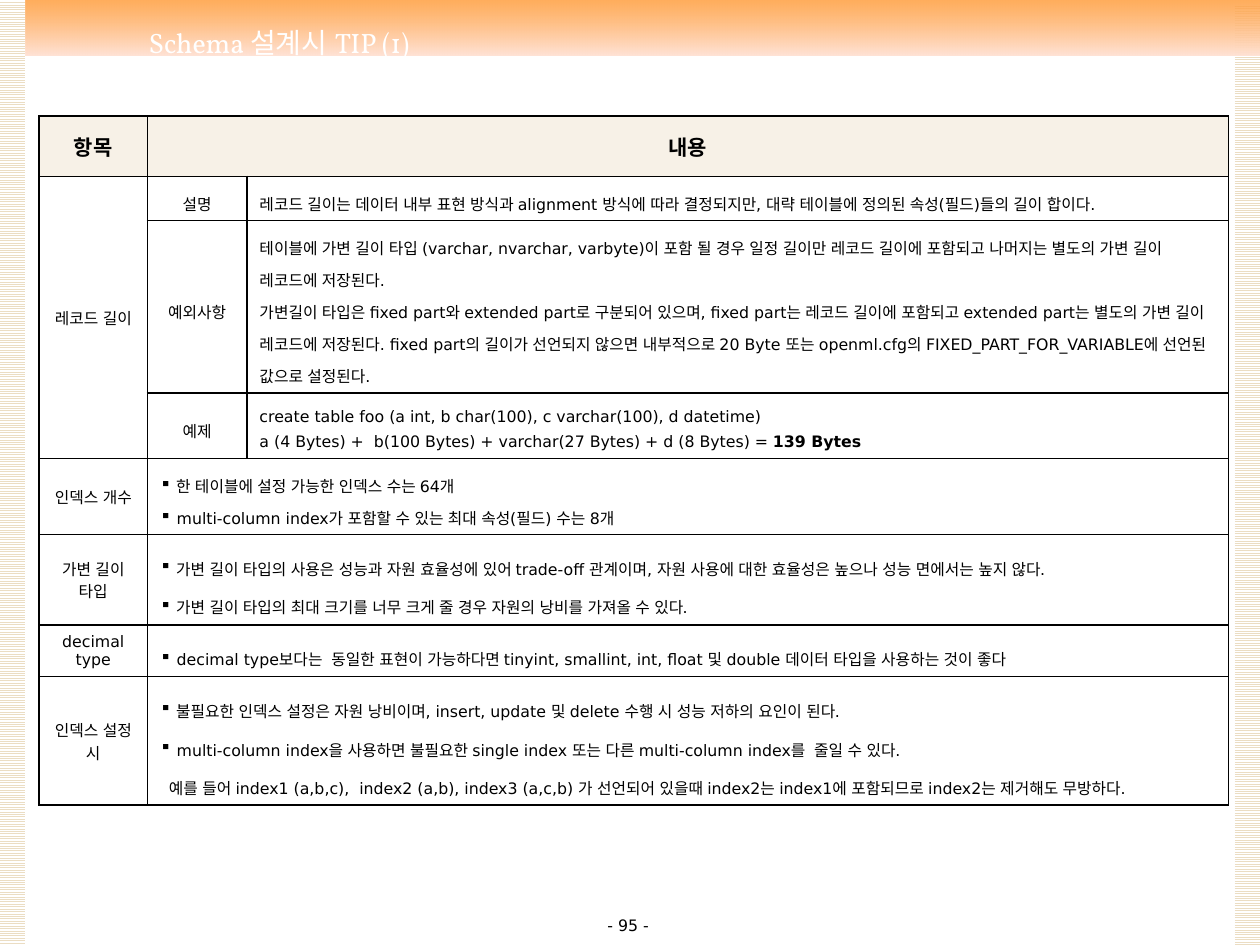
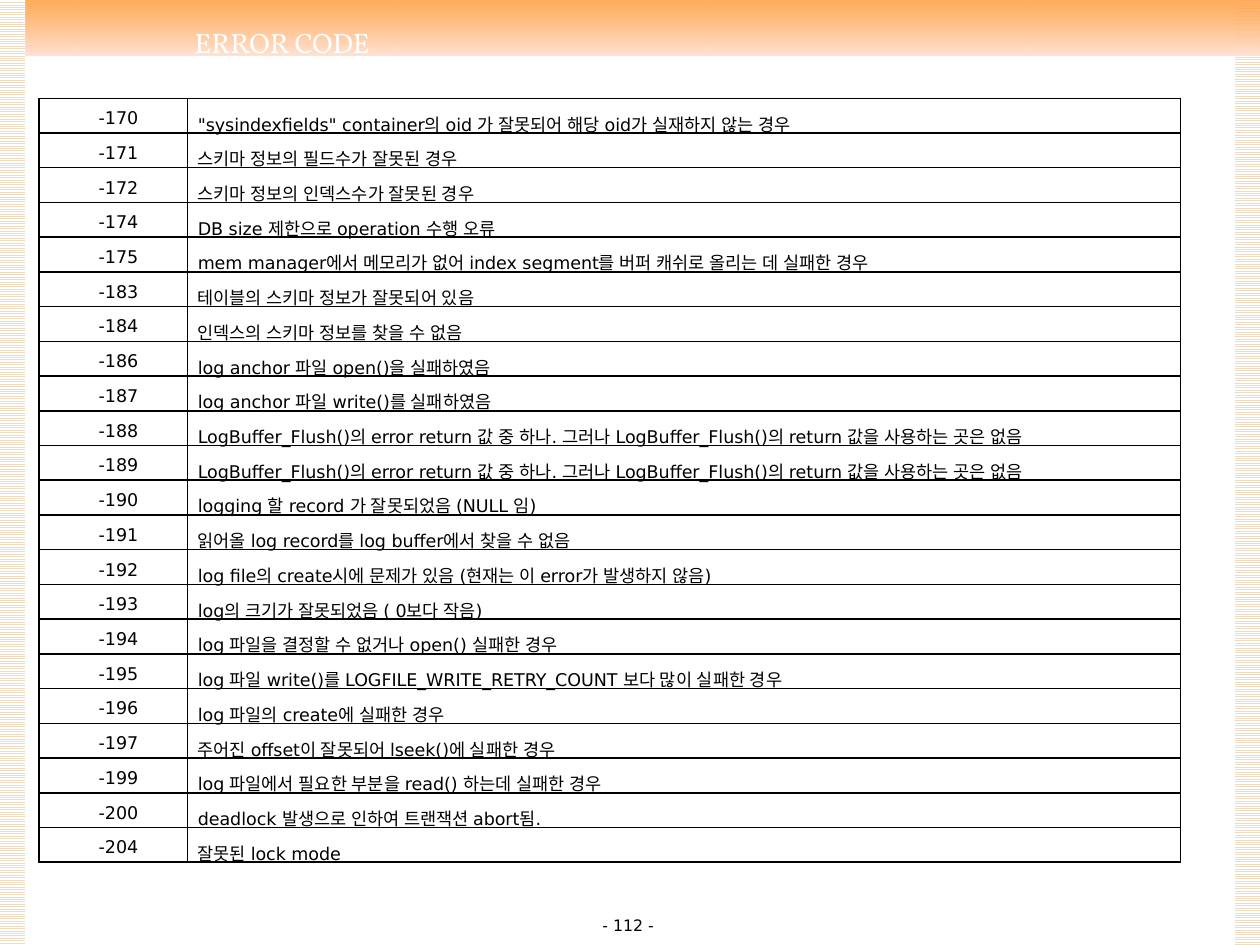
from lxml.etree import SubElement
from pptx import Presentation
from pptx.dml.color import RGBColor
from pptx.enum.dml import MSO_PATTERN
from pptx.enum.lang import MSO_LANGUAGE_ID
from pptx.enum.shapes import MSO_SHAPE
from pptx.enum.text import MSO_ANCHOR, PP_ALIGN
from pptx.oxml import parse_xml
from pptx.oxml.ns import nsdecls, qn
from pptx.util import Inches, Pt

BLACK = RGBColor(0x00, 0x00, 0x00)
WHITE = RGBColor(0xFF, 0xFF, 0xFF)
BEIGE = RGBColor(0xEB, 0xDD, 0xC3)
CREAM = RGBColor(0xF7, 0xF1, 0xE7)
ORANGE = RGBColor(0xFF, 0x99, 0x33)
PEACH = RGBColor(0xFF, 0xE3, 0xD6)
BODY_FONT = "DejaVu Sans"
TITLE_FONT = "Vollkorn"
BULLET = "▪"

# Schema table: topics with their lines; tips also have a line spacing
RECORD_ROWS = [
    ("설명", ["레코드 길이는 데이터 내부 표현 방식과 alignment 방식에 따라 결정되지만, "
            "대략 테이블에 정의된 속성(필드)들의 길이 합이다."]),
    ("예외사항", [
        "테이블에 가변 길이 타입 (varchar, nvarchar, varbyte)이 포함 될 경우 일정 길이만 "
        "레코드 길이에 포함되고 나머지는 별도의 가변 길이 레코드에 저장된다.",
        "가변길이 타입은 fixed part와 extended part로 구분되어 있으며, fixed part는 "
        "레코드 길이에 포함되고 extended part는 별도의 가변 길이 레코드에 저장된다. "
        "fixed part의 길이가 선언되지 않으면 내부적으로 20 Byte 또는 openml.cfg의 "
        "FIXED_PART_FOR_VARIABLE에 선언된 값으로 설정된다."]),
    ("예제", ["create table foo (a int, b char(100), c varchar(100), d datetime)",
            "a (4 Bytes) +  b(100 Bytes) + varchar(27 Bytes) + d (8 Bytes) = "]),
]
RECORD_TOTAL = "139 Bytes"
TIP_ROWS = [
    ("인덱스 개수", 1.4, [" 한 테이블에 설정 가능한 인덱스 수는 64개",
                     " multi-column index가 포함할 수 있는 최대 속성(필드) 수는 8개"]),
    ("가변 길이 타입", 1.7, [
        " 가변 길이 타입의 사용은 성능과 자원 효율성에 있어 trade-off 관계이며, "
        "자원 사용에 대한 효율성은 높으나 성능 면에서는 높지 않다.",
        " 가변 길이 타입의 최대 크기를 너무 크게 줄 경우 자원의 낭비를 가져올 수 있다."]),
    ("decimal type", 1.7, [
        " decimal type보다는  동일한 표현이 가능하다면 tinyint, smallint, int, float 및 "
        "double 데이터 타입을 사용하는 것이 좋다"]),
    ("인덱스 설정 시", 1.7, [
        " 불필요한 인덱스 설정은 자원 낭비이며, insert, update 및 delete 수행 시 "
        "성능 저하의 요인이 된다.",
        " multi-column index을 사용하면 불필요한 single index 또는 다른 "
        "multi-column index를  줄일 수 있다.",
        "예를 들어 index1 (a,b,c),  index2 (a,b), index3 (a,c,b) 가 선언되어 있을때 "
        "index2는 index1에 포함되므로 index2는 제거해도 무방하다."]),
]
FLUSH_ERROR = ("LogBuffer_Flush()의 error return 값 중 하나. 그러나 "
               "LogBuffer_Flush()의 return 값을 사용하는 곳은 없음")
ERRORS = [
    ("-170", '"sysindexfields" container의 oid 가 잘못되어 해당 oid가 실재하지 않는 경우'),
    ("-171", "스키마 정보의 필드수가 잘못된 경우"),
    ("-172", "스키마 정보의 인덱스수가 잘못된 경우"),
    ("-174", "DB size 제한으로 operation 수행 오류"),
    ("-175", "mem manager에서 메모리가 없어 index segment를 버퍼 캐쉬로 올리는 데 실패한 경우"),
    ("-183", "테이블의 스키마 정보가 잘못되어 있음"),
    ("-184", "인덱스의 스키마 정보를 찾을 수 없음"),
    ("-186", "log anchor 파일 open()을 실패하였음"),
    ("-187", "log anchor 파일 write()를 실패하였음"),
    ("-188", FLUSH_ERROR),
    ("-189", FLUSH_ERROR),
    ("-190", "logging 할 record 가 잘못되었음 (NULL 임)"),
    ("-191", "읽어올 log record를 log buffer에서 찾을 수 없음"),
    ("-192", "log file의 create시에 문제가 있음 (현재는 이 error가 발생하지 않음)"),
    ("-193", "log의 크기가 잘못되었음 ( 0보다 작음)"),
    ("-194", "log 파일을 결정할 수 없거나 open() 실패한 경우"),
    ("-195", "log 파일 write()를 LOGFILE_WRITE_RETRY_COUNT 보다 많이 실패한 경우"),
    ("-196", "log 파일의 create에 실패한 경우"),
    ("-197", "주어진 offset이 잘못되어 lseek()에 실패한 경우"),
    ("-199", "log 파일에서 필요한 부분을 read() 하는데 실패한 경우"),
    ("-200", "deadlock 발생으로 인하여 트랜잭션 abort됨."),
    ("-204", "잘못된 lock mode"),
]


def style_run(r, size, color=BLACK, font=BODY_FONT, bold=False):
    r.font.name, r.font.size, r.font.bold = font, Pt(size), bold
    r.font.color.rgb = color
    r.font.language_id = MSO_LANGUAGE_ID.KOREAN


def write(tf, lines, size, align=PP_ALIGN.LEFT, spacing=None, **style):
    tf.text = "\n".join(lines)
    for p in tf.paragraphs:
        p.alignment = align
        if spacing:
            p.line_spacing = spacing
        for r in p.runs:
            style_run(r, size, **style)


def add_bullet(p):
    """Square bullet for a tip; a line that continues one is indented."""
    pPr = p._p.get_or_add_pPr()
    marked = p.text.startswith(" ")
    pPr.set("marL", str(0 if marked else Inches(0.07)))
    pPr.set("indent", "0")
    if marked:
        color = SubElement(pPr, qn("a:buClr"))
        SubElement(color, qn("a:srgbClr")).set("val", str(BLACK))
        SubElement(pPr, qn("a:buChar")).set("char", BULLET)


def add_label(s, box, text, size, anchor=MSO_ANCHOR.TOP, **style):
    tf = s.shapes.add_textbox(*map(Inches, box)).text_frame
    tf.word_wrap = True
    tf.vertical_anchor = anchor
    write(tf, [text], size, PP_ALIGN.CENTER, **style)


def add_box(s, box):
    sp = s.shapes.add_shape(MSO_SHAPE.RECTANGLE, *map(Inches, box))
    sp.shadow.inherit = False
    sp.line.fill.background()
    return sp


def add_side_strip(s, box):
    fill = add_box(s, box).fill
    fill.patterned()
    fill.pattern = MSO_PATTERN.LIGHT_HORIZONTAL
    fill.fore_color.rgb, fill.back_color.rgb = BEIGE, WHITE


def add_top_band(s, box):
    sp = add_box(s, box)
    sp.fill.gradient()
    sp.fill.gradient_angle = 270
    for stop, color in zip(sp.fill.gradient_stops, (ORANGE, PEACH)):
        stop.color.rgb = color
    first = sp._element.spPr.find(".//" + qn("a:srgbClr"))
    SubElement(first, qn("a:alpha")).set("val", "80000")


def add_frame(prs, title, title_box, page):
    """Slide with the shared strips, band, title and page number."""
    s = prs.slides.add_slide(prs.slide_layouts[6])
    add_side_strip(s, (9.8, 0.03, 0.21, 7.47))
    add_top_band(s, (-0.01, 0, 10.02, 0.44))
    add_side_strip(s, (-0.01, 0, 0.21, 7.5))
    add_label(s, (3.82, 7.22, 2.33, 0.19), f"- {page} -", 9)
    add_label(s, title_box, title, 16, MSO_ANCHOR.MIDDLE, color=WHITE, font=TITLE_FONT)
    return s


def add_grid(s, left, top, widths, heights):
    """Unfilled table with thin black borders."""
    box = (left, top, sum(widths), sum(heights))
    table = s.shapes.add_table(len(heights), len(widths), *map(Inches, box)).table
    table.first_row = table.horz_banding = False
    for column, width in zip(table.columns, widths):
        column.width = Inches(width)
    for row, height in zip(table.rows, heights):
        row.height = Inches(height)
    for cell in table.iter_cells():
        tcPr = cell._tc.get_or_add_tcPr()
        for side in ("lnL", "lnR", "lnT", "lnB"):
            tcPr.append(parse_xml(
                f'<a:{side} {nsdecls("a")} w="{Pt(1)}"><a:solidFill>'
                f'<a:srgbClr val="{BLACK}"/></a:solidFill></a:{side}>'))
        cell.fill.background()
        cell.vertical_anchor = MSO_ANCHOR.MIDDLE
    return table


def add_schema_table(s, left, top):
    table = add_grid(s, left, top, (0.86, 0.79, 7.79),
                     (0.48, 0.35, 1.37, 0.52, 0.6, 0.72, 0.41, 1.02))
    cell = table.cell
    center = PP_ALIGN.CENTER

    # Header
    cell(0, 1).merge(cell(0, 2))
    for col, heading in enumerate(("항목", "내용")):
        write(cell(0, col).text_frame, [heading], 12, center, bold=True)
    for col in range(3):
        cell(0, col).fill.solid()
        cell(0, col).fill.fore_color.rgb = CREAM

    # Record length
    cell(1, 0).merge(cell(3, 0))
    write(cell(1, 0).text_frame, ["레코드 길이"], 9, center)
    for row, (topic, lines) in enumerate(RECORD_ROWS, 1):
        write(cell(row, 1).text_frame, [topic], 9, center, 1.4)
        write(cell(row, 2).text_frame, lines, 9, spacing=1.4)
    r = cell(3, 2).text_frame.paragraphs[-1].add_run()
    r.text = RECORD_TOTAL
    style_run(r, 9, bold=True)

    # Bulleted tips
    for row, (topic, spacing, lines) in enumerate(TIP_ROWS, 4):
        cell(row, 1).merge(cell(row, 2))
        write(cell(row, 0).text_frame, [topic], 9, center)
        tf = cell(row, 1).text_frame
        write(tf, lines, 9, spacing=spacing)
        for p in tf.paragraphs:
            add_bullet(p)


def add_error_table(s, left, top, height):
    table = add_grid(s, left, top, (1.18, 7.88), [height / len(ERRORS)] * len(ERRORS))
    for row, error in enumerate(ERRORS):
        for col, align in enumerate((PP_ALIGN.CENTER, PP_ALIGN.JUSTIFY)):
            cell = table.cell(row, col)
            cell.vertical_anchor = MSO_ANCHOR.TOP
            cell.margin_left = Inches(0.08)
            cell.margin_top = cell.margin_right = cell.margin_bottom = 0
            write(cell.text_frame, [error[col]], 10, align, 1.5)


def main():
    prs = Presentation()
    prs.slide_width, prs.slide_height = Inches(10), Inches(7.5)

    s = add_frame(prs, "Schema 설계시 TIP (1)", (0.28, 0.16, 3.87, 0.36), 95)
    add_schema_table(s, 0.31, 0.92)

    s = add_frame(prs, "ERROR CODE", (0.34, 0.16, 3.8, 0.35), 112)
    add_error_table(s, 0.31, 0.78, 6.07)

    prs.save("out.pptx")


if __name__ == "__main__":
    main()
